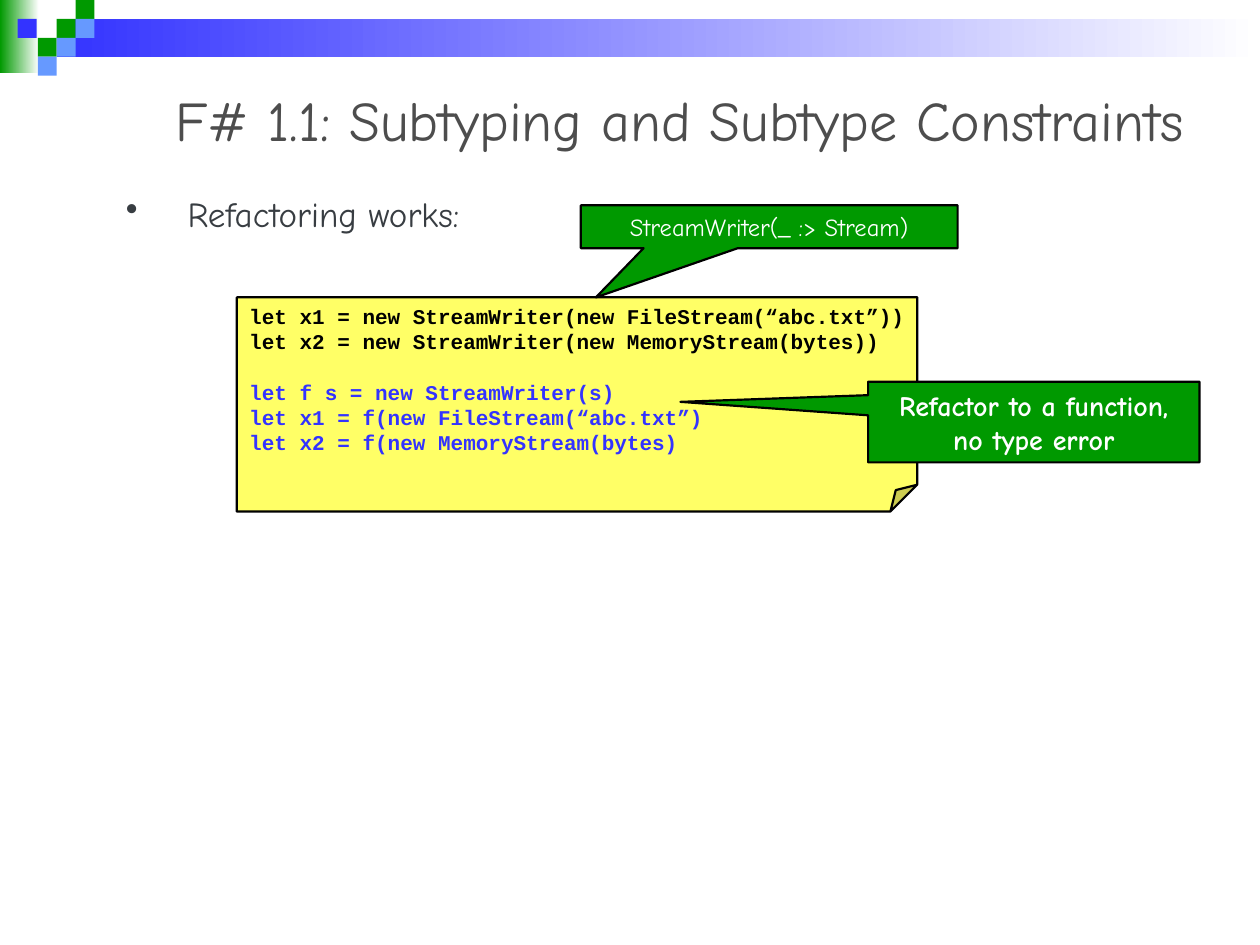
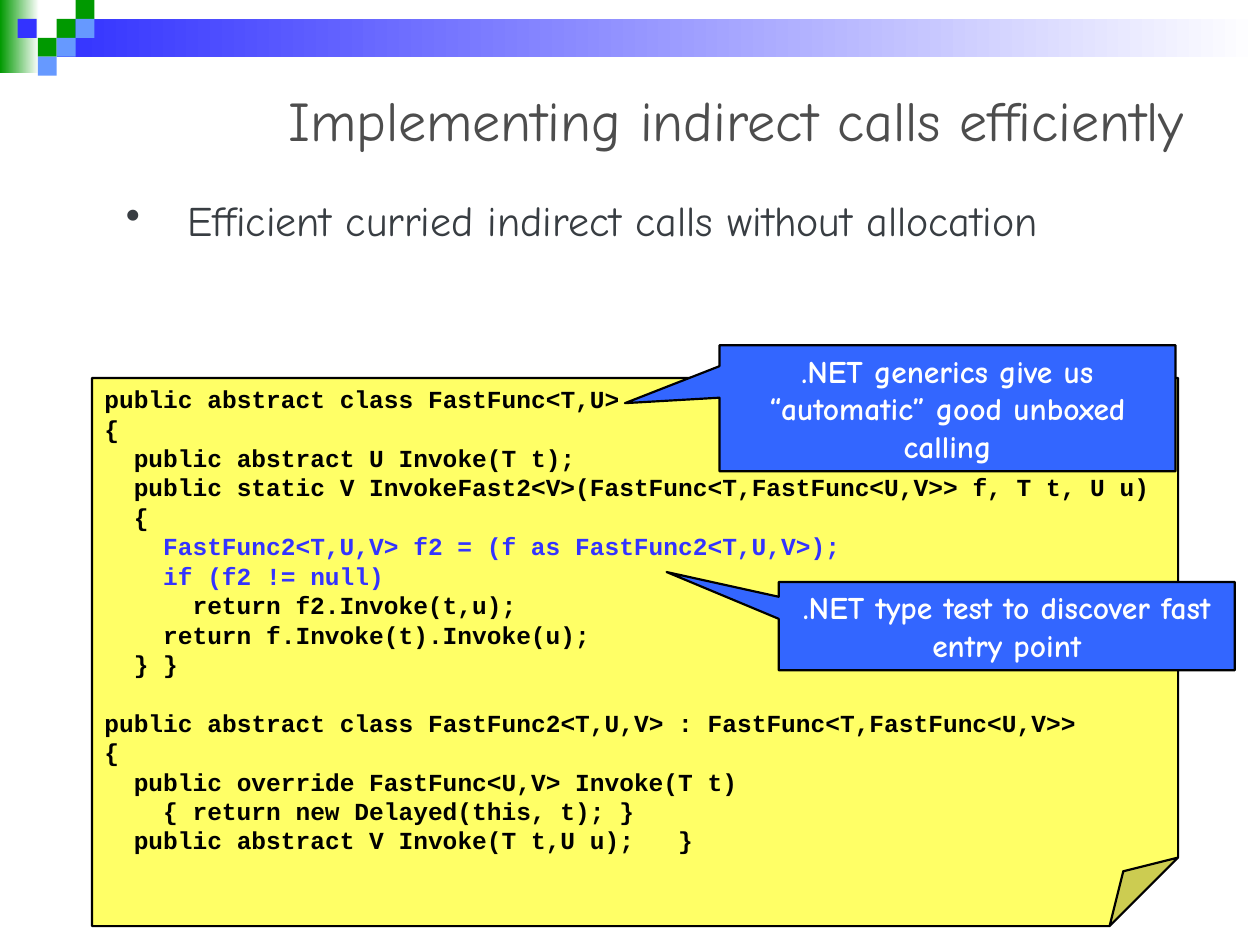
from dataclasses import dataclass

from lxml import etree
from pptx import Presentation
from pptx import util as u
from pptx.dml.color import RGBColor
from pptx.enum import shapes, text
from pptx.oxml.ns import qn


@dataclass(frozen=True)
class Theme:
    green: str = "009900"
    blue: str = "3333FF"
    light_blue: str = "6699FF"
    callout_blue: str = "3366FF"
    note: str = "FFFF66"
    black: str = "000000"
    white: str = "FFFFFF"
    title: str = "4D4D4D"
    body: str = "383D42"
    font: str = "Comic Neue"
    code_font: str = "Courier New"
    title_size: int = 32
    outline: float = 1.25


theme = Theme()
CHARACTER_WIDTH = 0.6  # of the code size
CODE_LEADING = 1.2
SHAPE = shapes.MSO_SHAPE
ALIGN = text.PP_ALIGN


def write(shape, words, size, color=theme.black, font=theme.font, bold=False,
          align=ALIGN.LEFT, before=0, spacing=1.0, indent=0, bullet=False):
    """Append one formatted paragraph to the shape."""
    frame = shape.text_frame
    paragraph = frame.add_paragraph() if frame.text else frame.paragraphs[0]
    paragraph.alignment = align
    paragraph.space_before = u.Pt(before)
    paragraph.line_spacing = spacing
    properties = paragraph._p.get_or_add_pPr()
    properties.set("marL", str(u.Inches(indent)))
    properties.set("indent", str(-u.Inches(indent) if bullet else 0))
    if bullet:
        etree.SubElement(properties, qn("a:buChar")).set("char", "•")
    run = paragraph.add_run()
    run.text = words
    run.font.size = u.Pt(size)
    run.font.name = font
    run.font.bold = bold
    run.font.color.rgb = RGBColor.from_string(color)


def add_box(slide, kind, place, fill=None, outlined=False,
            anchor=text.MSO_ANCHOR.TOP, wrap=True):
    """Add a shape, or a text box when kind is None."""
    place = [u.Inches(length) for length in place]
    if kind is None:
        shape = slide.shapes.add_textbox(*place)
    else:
        shape = slide.shapes.add_shape(kind, *place)
        shape.shadow.inherit = False
        shape.fill.solid()
        shape.fill.fore_color.rgb = RGBColor.from_string(fill)
        if outlined:
            shape.line.color.rgb = RGBColor.from_string(theme.black)
            shape.line.width = u.Pt(theme.outline)
        else:
            shape.line.fill.background()
    shape.text_frame.word_wrap = wrap
    shape.text_frame.vertical_anchor = anchor
    return shape


# Header: fading bands, then squares as (left, top, color)
bands = [((0, 0, 0.31, 0.58), theme.green), ((0.45, 0.15, 9.55, 0.3), theme.blue)]
squares = [
    (0.45, 0.15, theme.green), (0.6, 0, theme.green), (0.6, 0.15, theme.light_blue),
    (0.3, 0.3, theme.green), (0.14, 0.15, theme.blue),
    (0.45, 0.3, theme.light_blue), (0.3, 0.45, theme.light_blue),
]

# Code blocks are separated by a blank line; lines are (depth, words, color)
refactoring_code = [
    [
        (0, "let x1 = new StreamWriter(new FileStream(“abc.txt”))", theme.black),
        (0, "let x2 = new StreamWriter(new MemoryStream(bytes))", theme.black),
    ],
    [
        (0, "let f s = new StreamWriter(s)", theme.blue),
        (0, "let x1 = f(new FileStream(“abc.txt”)", theme.blue),
        (0, "let x2 = f(new MemoryStream(bytes)", theme.blue),
    ],
]
fast_call_code = [
    [
        (0, "public abstract class FastFunc<T,U>", theme.black),
        (0, "{", theme.black),
        (1, "public abstract U Invoke(T t);", theme.black),
        (1, "public static V InvokeFast2<V>(FastFunc<T,FastFunc<U,V>> f, T t, U u)",
         theme.black),
        (1, "{", theme.black),
        (2, "FastFunc2<T,U,V> f2 = (f as FastFunc2<T,U,V>);", theme.blue),
        (2, "if (f2 != null)", theme.blue),
        (3, "return f2.Invoke(t,u);", theme.black),
        (2, "return f.Invoke(t).Invoke(u);", theme.black),
        (1, "} }", theme.black),
    ],
    [
        (0, "public abstract class FastFunc2<T,U,V> : FastFunc<T,FastFunc<U,V>>",
         theme.black),
        (0, "{", theme.black),
        (1, "public override FastFunc<U,V> Invoke(T t)", theme.black),
        (2, "{ return new Delayed(this, t); }", theme.black),
        (1, "public abstract V Invoke(T t,U u);   }", theme.black),
    ],
]

# Callouts are (words, place, tip, fill, size, bold)
pages = [
    dict(
        title="F# 1.1: Subtyping and Subtype Constraints",
        point="Refactoring works:", point_size=20, before=7.5, spacing=0.8,
        note=(1.88, 2.36, 5.4, 1.7), code=refactoring_code, code_size=12,
        callouts=[
            ("Refactor to a function, no type error", (6.89, 3.03, 2.63, 0.64),
             (5.4, 3.19), theme.green, 16, True),
            ("StreamWriter(_ :> Stream)", (4.61, 1.63, 2.99, 0.34),
             (4.73, 2.36), theme.green, 14, False),
        ],
    ),
    dict(
        title="Implementing indirect calls efficiently",
        point="Efficient curried indirect calls without allocation",
        point_size=24, before=9, spacing=0.9,
        note=(0.73, 3, 8.62, 4.35), code=fast_call_code, code_size=14,
        callouts=[
            (".NET type test to discover fast entry point", (6.18, 4.62, 3.62, 0.7),
             (5.29, 4.54), theme.callout_blue, 18, True),
            (".NET generics give us “automatic” good unboxed calling",
             (5.71, 2.74, 3.62, 1), (4.96, 3.2), theme.callout_blue, 18, True),
        ],
    ),
]

presentation = Presentation()
presentation.slide_width = u.Inches(10)
presentation.slide_height = u.Inches(7.5)

for page in pages:
    slide = presentation.slides.add_slide(presentation.slide_layouts[6])

    # Header
    for place, color in bands:
        band = add_box(slide, SHAPE.RECTANGLE, place, color)
        band.fill.gradient()
        band.fill.gradient_angle = 0
        for stop, stop_color in zip(band.fill.gradient_stops, (color, theme.white)):
            stop.color.rgb = RGBColor.from_string(stop_color)
    for left, top, color in squares:
        add_box(slide, SHAPE.RECTANGLE, (left, top, 0.15, 0.15), color)

    # Title and bullet point
    title = add_box(slide, None, (0.5, 0.5, 9, 0.89), anchor=text.MSO_ANCHOR.MIDDLE)
    write(title, page["title"], theme.title_size, theme.title, align=ALIGN.RIGHT)
    body = add_box(slide, None, (0.9, 1.54, 8.27, 4.8))
    write(body, page["point"], page["point_size"], theme.body, before=page["before"],
          spacing=page["spacing"], indent=0.49, bullet=True)

    # Code note, with its fold set to an eighth of the shorter side
    note = add_box(slide, SHAPE.FOLDED_CORNER, page["note"], theme.note,
                   outlined=True, wrap=False)
    geometry = note._element.spPr.find(qn("a:prstGeom"))
    for old_guides in geometry.findall(qn("a:avLst")):
        geometry.remove(old_guides)
    guides = etree.SubElement(geometry, qn("a:avLst"))
    etree.SubElement(guides, qn("a:gd"), name="adj", fmla="val 12500")
    size = page["code_size"]
    step = 2 * CHARACTER_WIDTH * size / 72
    for block_number, block in enumerate(page["code"]):
        for line_number, (depth, words, color) in enumerate(block):
            starts_block = block_number > 0 and line_number == 0
            write(note, words, size, color, theme.code_font, bold=True,
                  before=CODE_LEADING * size if starts_block else 0,
                  indent=depth * step)

    # Callouts, each pointing at its tip
    for words, place, tip, fill, size, bold in page["callouts"]:
        callout = add_box(slide, SHAPE.RECTANGULAR_CALLOUT, place, fill,
                          outlined=True, anchor=text.MSO_ANCHOR.MIDDLE)
        left, top, width, height = place
        callout.adjustments[0] = (tip[0] - left) / width - 0.5
        callout.adjustments[1] = (tip[1] - top) / height - 0.5
        write(callout, words, size, theme.white, bold=bold, align=ALIGN.CENTER)

presentation.save("out.pptx")
